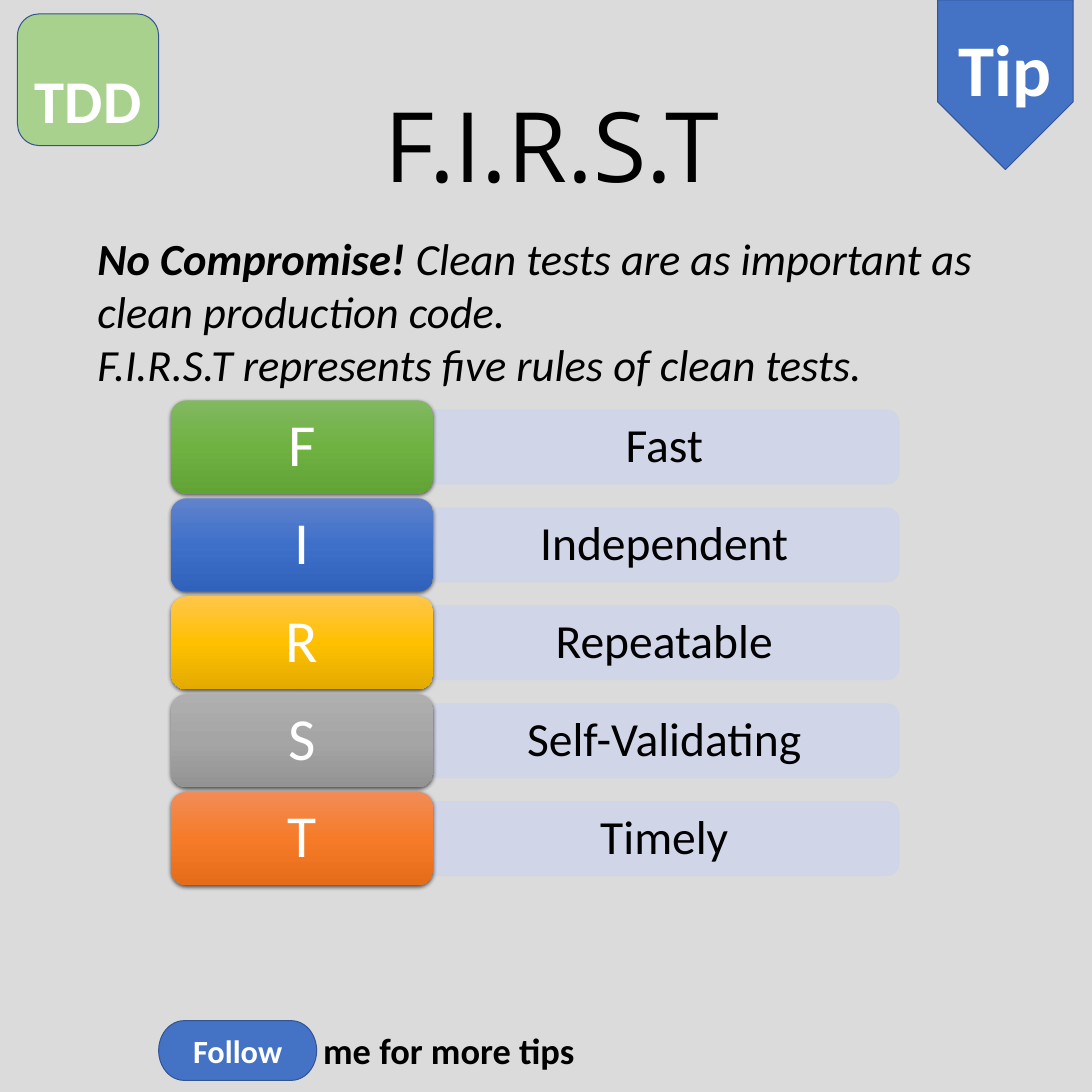
"""Build a square tip slide on the F.I.R.S.T rules of clean tests."""
import copy

import lxml.etree
import pptx
import pptx.dml.color
import pptx.enum.shapes
import pptx.enum.text
import pptx.oxml.ns
import pptx.util

Inches = pptx.util.Inches
Pt = pptx.util.Pt
qn = pptx.oxml.ns.qn
KIND = pptx.enum.shapes.MSO_SHAPE
ANCHOR = pptx.enum.text.MSO_ANCHOR
ALIGN = pptx.enum.text.PP_ALIGN
SIZING = pptx.enum.text.MSO_AUTO_SIZE

COLORS = {
    "back": "DBDBDB", "black": "000000", "white": "FFFFFF",
    "green": "A9D18E", "blue": "4472C4", "edge": "325491", "bar": "CFD5EA",
}
RULES = [
    ("F", "Fast", ("81B861", "6FB242", "62A336")),
    ("I", "Independent", ("6183CB", "3E70CA", "3062BB")),
    ("R", "Repeatable", ("FFC64B", "FFC000", "E3AB00")),
    ("S", "Self-Validating", ("AFAFAF", "A5A5A5", "939393")),
    ("T", "Timely", ("F18C57", "F67B28", "E56C19")),
]


def rgb(code):
    """Turn a hex string into a colour."""
    return pptx.dml.color.RGBColor.from_string(code)


def style(run, size, color, bold=False, slant=False, face="Calibri"):
    """Format one run."""
    font = run.font
    font.size, font.bold, font.italic, font.name = Pt(size), bold, slant, face
    font.color.rgb = rgb(COLORS[color])


def label(shape, text, size, color, bold=False, align=ALIGN.CENTER,
          anchor=ANCHOR.MIDDLE, face="Calibri"):
    """Write one line of text in a shape."""
    frame = shape.text_frame
    frame.text = text
    frame.vertical_anchor = anchor
    line = frame.paragraphs[0]
    line.alignment = align
    style(line.runs[0], size, color, bold, face=face)
    return line


def add_shape(slide, kind, box, fill=None, edge=None, width=1):
    """Add a flat preset shape in a box."""
    shape = slide.shapes.add_shape(kind, *map(Inches, box))
    shape.shadow.inherit = False
    if fill:
        shape.fill.solid()
        shape.fill.fore_color.rgb = rgb(COLORS[fill])
    if edge:
        shape.line.color.rgb = rgb(COLORS[edge])
        shape.line.width = Pt(width)
    else:
        shape.line.fill.background()
    return shape


def add_turned(slide, kind, box, fill, edge, width=1):
    """Add a shape turned a quarter to fill a box, with upright text."""
    left, top, wide, high = box
    shift = (wide - high) / 2
    shape = add_shape(slide, kind, (left + shift, top - shift, high, wide),
                      fill, edge, width)
    shape.rotation = 90
    shape.text_frame._txBody.bodyPr.set("vert", "vert270")
    return shape


def add_title(slide, box):
    """Place the title."""
    title = slide.shapes.title
    title.left, title.top, title.width, title.height = map(Inches, box)
    label(title, "F.I.R.S.T", 96, "black", anchor=ANCHOR.TOP, face="Open Sans")
    title.text_frame.auto_size = SIZING.SHAPE_TO_FIT_TEXT


def add_intro(slide, box):
    """Place the opening statement."""
    frame = slide.shapes.add_textbox(*map(Inches, box)).text_frame
    frame.word_wrap = True
    frame.auto_size = SIZING.SHAPE_TO_FIT_TEXT
    line = frame.paragraphs[0]
    line.text = "No Compromise! "
    line.add_run().text = "Clean tests are as important as clean production code. "
    line.add_line_break()
    line.add_run().text = "F.I.R.S.T represents five rules of clean tests."
    for place, run in enumerate(line.runs):
        style(run, 44, "black", bold=place == 0, slant=True)


def add_badge(slide, box):
    """Place the topic badge."""
    badge = add_shape(slide, KIND.ROUNDED_RECTANGLE, box, "green", "edge")
    label(badge, "TDD", 60, "white", True, anchor=ANCHOR.BOTTOM)


def add_ribbon(slide, box):
    """Place the ribbon that points down."""
    ribbon = add_turned(slide, KIND.PENTAGON, box, "blue", "edge")
    label(ribbon, "Tip", 72, "white", True)


def add_footer(slide, box):
    """Place the follow button and the words beside it."""
    left, top, wide, high = box
    button = add_shape(slide, KIND.FLOWCHART_TERMINATOR,
                       (left, top, 2.17, high), "blue", "edge")
    label(button, "Follow", 32, "white", True)
    note = slide.shapes.add_textbox(
        *map(Inches, (left + 2.16, top + 0.05, wide - 2.16, 0.71)))
    label(note, "me for more tips", 36, "black", True, ALIGN.LEFT, ANCHOR.TOP)
    note.text_frame.word_wrap = False
    note.text_frame.auto_size = SIZING.SHAPE_TO_FIT_TEXT


def add_bar(slide, box, text):
    """Place the pale bar that names a rule."""
    bar = add_turned(slide, KIND.ROUND_2_SAME_RECTANGLE, box, "bar", "bar", 0.5)
    for color in bar._element.spPr.iter(qn("a:srgbClr")):
        lxml.etree.SubElement(color, qn("a:alpha"), val="90000")
    label(bar, text, 47, "black").line_spacing = 0.9


def add_card(slide, box, text, shades):
    """Place the shaded card that holds a letter."""
    card = add_shape(slide, KIND.ROUNDED_RECTANGLE, box)
    card.fill.gradient()
    card.fill.gradient_angle = 270
    props = card._element.spPr
    stops = props.find(".//" + qn("a:gsLst"))
    stops.append(copy.deepcopy(stops[0]))
    for place, (stop, shade) in enumerate(zip(card.fill.gradient_stops, shades)):
        stop.position = place / 2
        stop.color.rgb = rgb(shade)
    shadow = lxml.etree.SubElement(
        props.find(qn("a:effectLst")), qn("a:outerShdw"), blurRad=str(Pt(4.5)),
        dist=str(Pt(1.5)), dir="5400000", algn="ctr", rotWithShape="0")
    color = lxml.etree.SubElement(shadow, qn("a:srgbClr"), val=COLORS["black"])
    lxml.etree.SubElement(color, qn("a:alpha"), val="63000")
    label(card, text, 59, "white").line_spacing = 0.9


def add_rules(slide, box):
    """Place the five rules in even rows."""
    left, top, wide, high = box
    card_wide, card_high, bar_high = 3.6, 1.28, 1.02
    pitch = (high - card_high) / (len(RULES) - 1)
    for row, (letter, name, shades) in enumerate(RULES):
        y = top + row * pitch
        add_bar(slide, (left + card_wide, y + (card_high - bar_high) / 2,
                        wide - card_wide, bar_high), name)
        add_card(slide, (left, y, card_wide, card_high), letter, shades)


def main():
    """Build and save the slide."""
    deck = pptx.Presentation()
    deck.slide_width = deck.slide_height = Inches(15)
    slide = deck.slides.add_slide(deck.slide_layouts[5])
    slide.background.fill.solid()
    slide.background.fill.fore_color.rgb = rgb(COLORS["back"])
    add_title(slide, (2.35, 1.13, 10.47, 1.72))
    add_intro(slide, (1.24, 3.12, 12.58, 2.32))
    add_badge(slide, (0.24, 0.19, 1.94, 1.81))
    add_ribbon(slide, (12.88, 0, 1.86, 2.33))
    add_footer(slide, (2.18, 14.02, 5.85, 0.82))
    add_rules(slide, (2.35, 5.5, 10, 6.66))
    deck.save("out.pptx")


if __name__ == "__main__":
    main()
